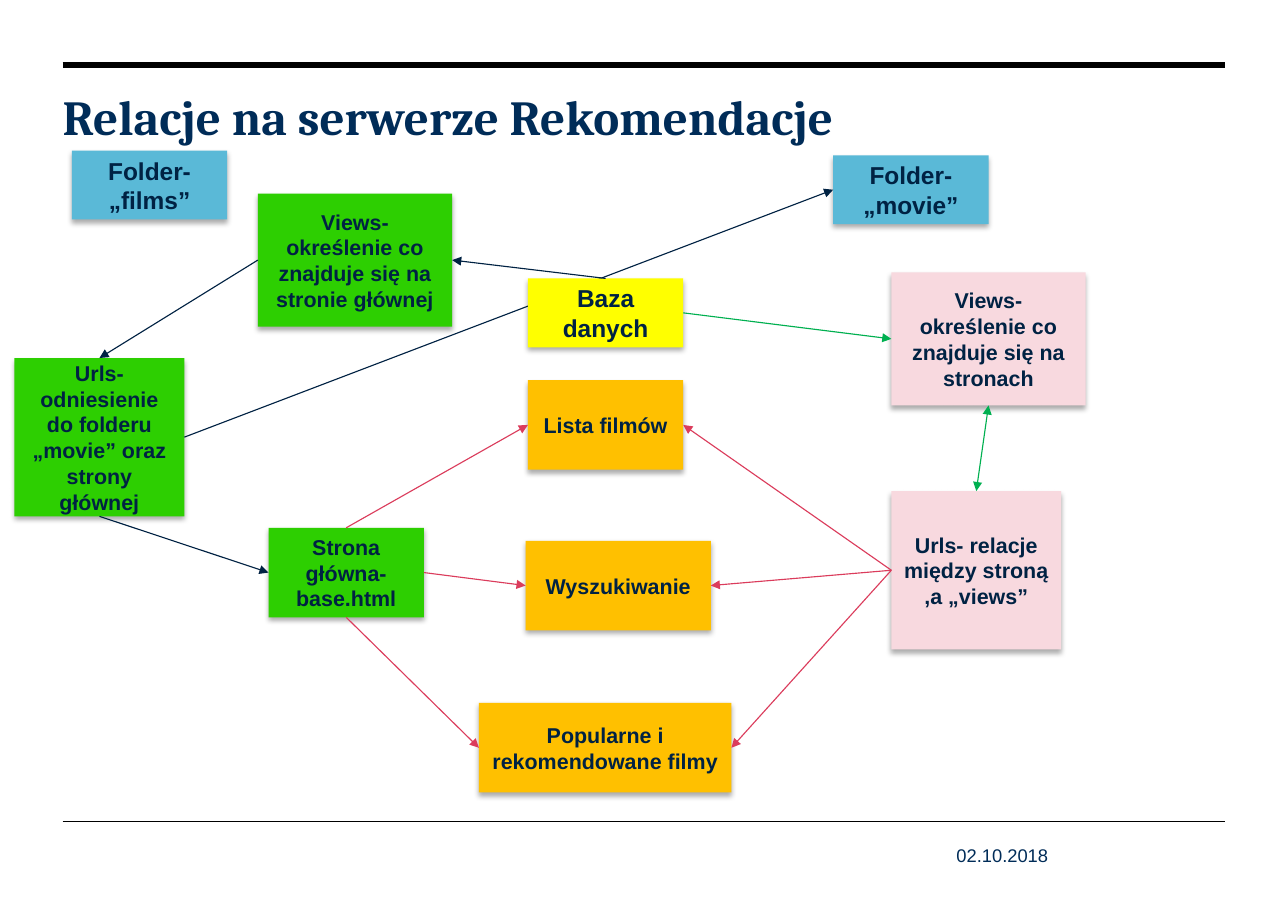
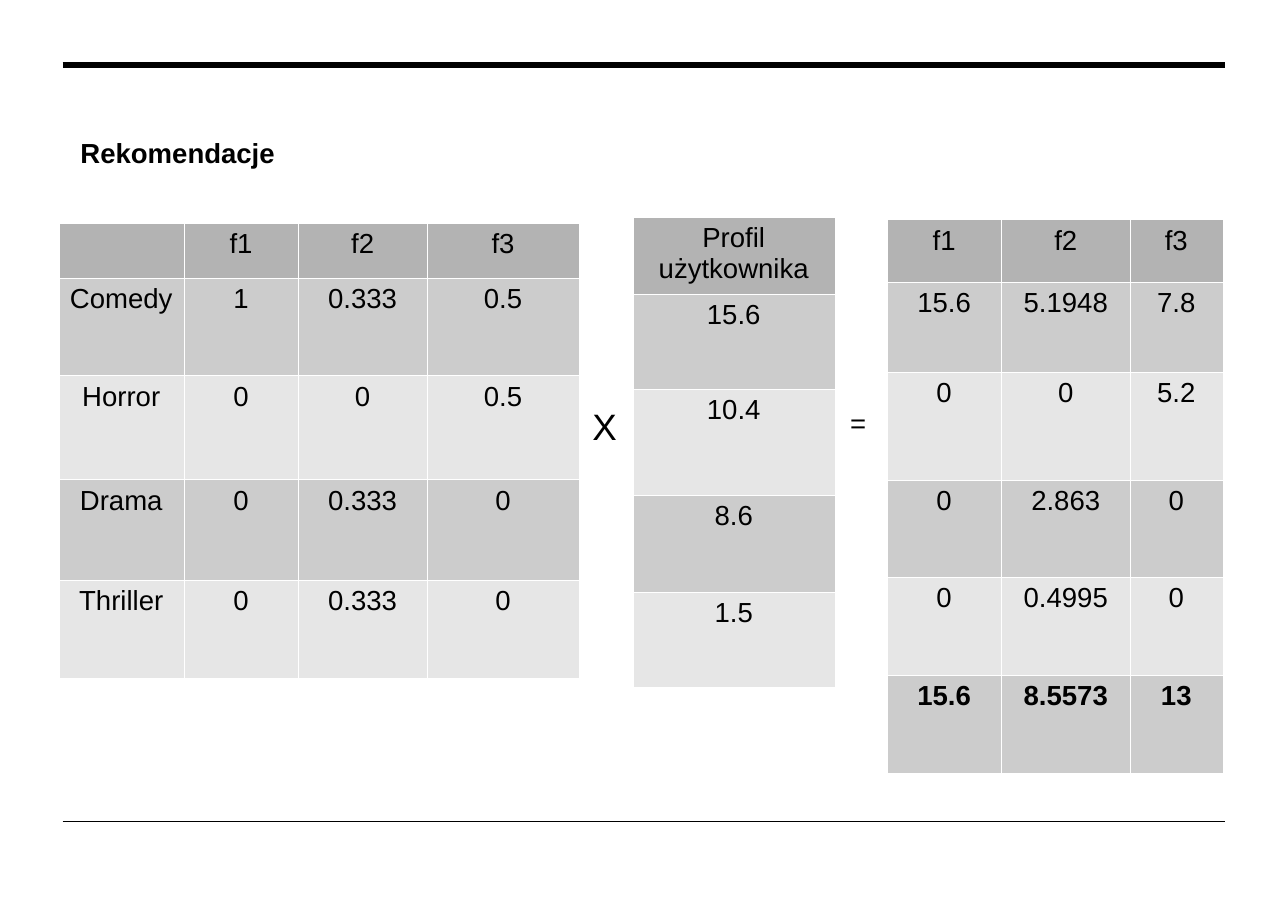
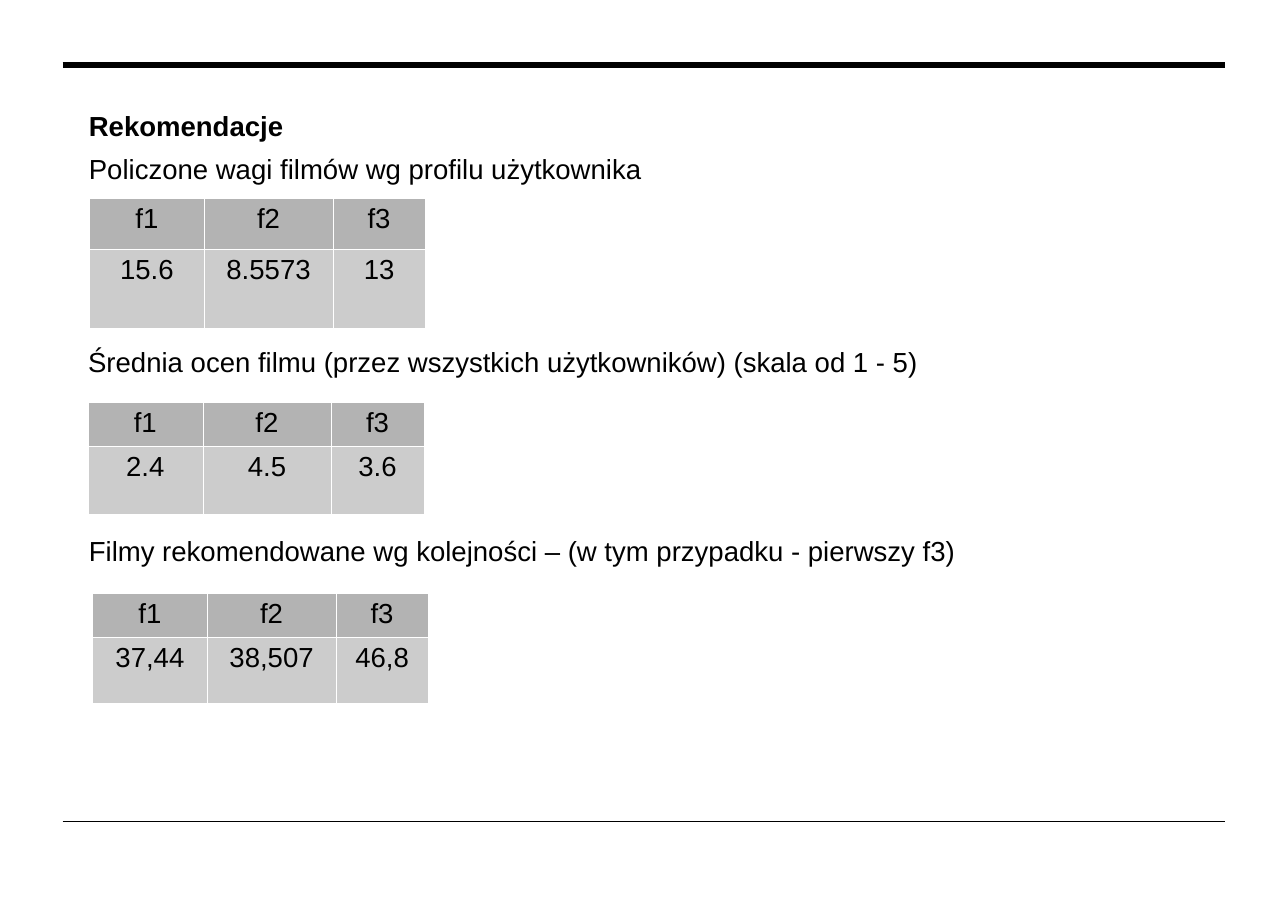
"""Builds three slides on the relations and the weights of a film recommendation server."""
from lxml.etree import SubElement
from pptx import Presentation
from pptx.dml.color import RGBColor
from pptx.enum.shapes import MSO_CONNECTOR, MSO_SHAPE
from pptx.enum.text import MSO_ANCHOR, PP_ALIGN
from pptx.oxml.ns import qn
from pptx.util import Pt

COLORS = {
    "black": "000000", "white": "FFFFFF", "title": "002C58", "navy": "002243",
    "blue": "5AB9D7", "green": "2DCF01", "yellow": "FFFF00", "orange": "FFC000",
    "pink": "F8D9DF", "red": "DB3C5C", "line green": "00B050",
    "header": "B3B3B3", "odd row": "CCCCCC", "even row": "E6E6E6",
}
RULE_LEFT, RULE_RIGHT = 41, 800.5
RULES = [(42.5, 4), (537, 0.75)]

BOX_KINDS = {
    "folder": (101.5, 45, 16), "views": (127, 87, 14), "urls": (111, 103.5, 14),
    "page": (101.5, 58.5, 14), "search": (121, 58.5, 14), "popular": (165, 58.5, 14),
}
BOXES = {
    "films": ("folder", 47, 98.5, "blue", "Folder- „films”"),
    "movie": ("folder", 544.5, 101.5, "blue", "Folder- „movie”"),
    "main urls": ("urls", 9.5, 234, "green",
                  "Urls- odniesienie do folderu „movie” oraz strony głównej"),
    "main views": ("views", 168.5, 126.5, "green",
                   "Views- określenie co znajduje się na stronie głównej"),
    "main page": ("page", 175.5, 345, "green", "Strona główna- base.html"),
    "database": ("folder", 345, 182, "yellow", "Baza danych"),
    "film list": ("page", 345, 248.5, "orange", "Lista filmów"),
    "search": ("search", 343.5, 353.5, "orange", "Wyszukiwanie"),
    "popular": ("popular", 313, 459.5, "orange", "Popularne i rekomendowane filmy"),
    "page views": ("views", 582.5, 178, "pink",
                   "Views- określenie co znajduje się na stronach"),
    "page urls": ("urls", 582.5, 321, "pink", "Urls- relacje między stroną ,a „views”"),
}
TOP, LEFT, BOTTOM, RIGHT = range(4)
ONE_WAY, TWO_WAY = ("a:tailEnd",), ("a:headEnd", "a:tailEnd")
LINKS = [
    ("main views", LEFT, "main urls", TOP, "navy", ONE_WAY),
    ("main urls", BOTTOM, "main page", LEFT, "navy", ONE_WAY),
    ("main urls", RIGHT, "movie", LEFT, "navy", ONE_WAY),
    ("database", TOP, "main views", RIGHT, "navy", ONE_WAY),
    ("main page", TOP, "film list", LEFT, "red", ONE_WAY),
    ("main page", RIGHT, "search", LEFT, "red", ONE_WAY),
    ("main page", BOTTOM, "popular", LEFT, "red", ONE_WAY),
    ("page views", BOTTOM, "page urls", TOP, "line green", TWO_WAY),
    ("page urls", LEFT, "film list", RIGHT, "red", ONE_WAY),
    ("page urls", LEFT, "search", RIGHT, "red", ONE_WAY),
    ("page urls", LEFT, "popular", RIGHT, "red", ONE_WAY),
    ("database", RIGHT, "page views", LEFT, "line green", ONE_WAY),
]

FILMS = ["f1", "f2", "f3"]
FILM_COLUMNS = [75, 84, 60.5]
GENRES = [
    ["", *FILMS],
    ["Comedy", "1", "0.333", "0.5"],
    ["Horror", "0", "0", "0.5"],
    ["Drama", "0", "0.333", "0"],
    ["Thriller", "0", "0.333", "0"],
]
PROFILE = [["Profil użytkownika"], ["15.6"], ["10.4"], ["8.6"], ["1.5"]]
PRODUCT = [
    FILMS,
    ["15.6", "5.1948", "7.8"],
    ["0", "0", "5.2"],
    ["0", "2.863", "0"],
    ["0", "0.4995", "0"],
    ["15.6", "8.5573", "13"],
]
MATRICES = [
    (38.5, 145.5, [81.5, 75, 84, 99.5], [36, 64, 68, 65.5, 64], GENRES, False),
    (413.5, 142, [132], [50, 62, 69, 63.5, 62], PROFILE, False),
    (579.5, 143.5, FILM_COLUMNS, [41, 58.5, 71, 63.5, 64, 64], PRODUCT, True),
]
RANKING_STEPS = [
    (51, 96, "Policzone wagi filmów wg profilu użytkownika",
     58.5, 129.5, [33, 52], ["15.6", "8.5573", "13"]),
    (50.5, 222, "Średnia ocen filmu (przez wszystkich użytkowników) (skala od 1 - 5)",
     57.5, 263, [28, 44], ["2.4", "4.5", "3.6"]),
    (51, 345.5, "Filmy rekomendowane wg kolejności – (w tym przypadku - pierwszy f3)",
     60.5, 387.5, [28.5, 43.5], ["37,44", "38,507", "46,8"]),
]


def rgb(name):
    return RGBColor.from_string(COLORS[name])


def format_text(text_frame, size, color, bold=False, font="Arial", align=PP_ALIGN.LEFT):
    for paragraph in text_frame.paragraphs:
        paragraph.alignment = align
        for run in paragraph.runs:
            run.font.name = font
            run.font.size = Pt(size)
            run.font.bold = bold
            run.font.color.rgb = rgb(color)


def add_text(slide, left, top, width, height, text, size=18, color="black",
             bold=False, font="Arial", inset=True):
    text_frame = slide.shapes.add_textbox(Pt(left), Pt(top), Pt(width), Pt(height)).text_frame
    text_frame.word_wrap = True
    if not inset:
        text_frame.margin_left = text_frame.margin_right = 0
        text_frame.margin_top = text_frame.margin_bottom = 0
    text_frame.text = text
    format_text(text_frame, size, color, bold, font)
    return text_frame


def add_line(slide, start, end, color, width, arrowheads=()):
    line = slide.shapes.add_connector(MSO_CONNECTOR.STRAIGHT, *map(Pt, start + end))
    line.line.color.rgb = rgb(color)
    line.line.width = Pt(width)
    properties = line.element.spPr
    for arrowhead in arrowheads:
        SubElement(properties.find(qn("a:ln")), qn(arrowhead), type="triangle")
    SubElement(properties, qn("a:effectLst"))
    return line


def add_box(slide, kind, left, top, fill, text):
    width, height, size = BOX_KINDS[kind]
    box = slide.shapes.add_shape(MSO_SHAPE.RECTANGLE, Pt(left), Pt(top), Pt(width), Pt(height))
    box.fill.solid()
    box.fill.fore_color.rgb = rgb(fill)
    box.line.fill.background()
    box.shadow.inherit = False
    shadow = SubElement(box.element.spPr.find(qn("a:effectLst")), qn("a:outerShdw"),
                        blurRad=str(Pt(3.5)), dist=str(Pt(2.2)), dir="5400000", rotWithShape="0")
    shadow_color = SubElement(shadow, qn("a:srgbClr"), val=COLORS["black"])
    SubElement(shadow_color, qn("a:alpha"), val="32000")
    box.text_frame.word_wrap = True
    box.text_frame.vertical_anchor = MSO_ANCHOR.MIDDLE
    box.text_frame.text = text
    format_text(box.text_frame, size, "navy", True, align=PP_ALIGN.CENTER)
    return box


def add_link(slide, boxes, source, source_site, target, target_site, color, arrowheads):
    link = add_line(slide, (0, 0), (0, 0), color, 0.75, arrowheads)
    link.begin_connect(boxes[source], source_site)
    link.end_connect(boxes[target], target_site)
    return link


def style_cell(cell, fill):
    properties = cell._tc.get_or_add_tcPr()
    for side in ("a:lnL", "a:lnR", "a:lnT", "a:lnB"):
        border = SubElement(properties, qn(side), w=str(Pt(0.06)))
        SubElement(SubElement(border, qn("a:solidFill")), qn("a:srgbClr"), val=COLORS["white"])
    cell.fill.solid()
    cell.fill.fore_color.rgb = rgb(fill)


def add_matrix(slide, left, top, widths, heights, rows, bold_last=False):
    table = slide.shapes.add_table(len(rows), len(widths), Pt(left), Pt(top),
                                   Pt(sum(widths)), Pt(sum(heights))).table
    table.first_row = table.horz_banding = False
    for column, width in zip(table.columns, widths):
        column.width = Pt(width)
    for index, (row, height, values) in enumerate(zip(table.rows, heights, rows)):
        row.height = Pt(height)
        fill = "header" if index == 0 else "odd row" if index % 2 else "even row"
        bold = bold_last and index == len(rows) - 1
        for cell, value in zip(row.cells, values):
            cell.text_frame.text = value
            format_text(cell.text_frame, 18, "black", bold, align=PP_ALIGN.CENTER)
            style_cell(cell, fill)


def new_slide(presentation):
    slide = presentation.slides.add_slide(presentation.slide_layouts[6])
    for top, width in RULES:
        add_line(slide, (RULE_LEFT, top), (RULE_RIGHT, top), "black", width)
    return slide


def build_relations(slide):
    title = add_text(slide, RULE_LEFT, 61, RULE_RIGHT - RULE_LEFT, 34.5,
                     "Relacje na serwerze Rekomendacje", 32, "title", True, "Cambria", False)
    title.paragraphs[0].line_spacing = 0.9
    add_text(slide, 625, 551.5, 89.5, 14.5, "02.10.2018", 12, "title", inset=False)
    boxes = {name: add_box(slide, *box) for name, box in BOXES.items()}
    links = {(link[0], link[2]): add_link(slide, boxes, *link) for link in LINKS}
    boxes["database"].element.addprevious(links["main urls", "movie"].element)


def build_product(slide):
    add_text(slide, 45.5, 85, 584, 29, "Rekomendacje", bold=True)
    for matrix in MATRICES:
        add_matrix(slide, *matrix)
    add_text(slide, 380, 260.5, 33, 36, "X", 24)
    add_text(slide, 548.5, 262, 28, 29, "=")


def build_ranking(slide):
    add_text(slide, 51, 67.5, 335, 29, "Rekomendacje", bold=True)
    for text_left, text_top, text, left, top, heights, values in RANKING_STEPS:
        add_text(slide, text_left, text_top, 732, 29, text)
        add_matrix(slide, left, top, FILM_COLUMNS, heights, [FILMS, values])


def main():
    presentation = Presentation()
    presentation.slide_width, presentation.slide_height = Pt(841.68), Pt(595.44)
    for build in (build_relations, build_product, build_ranking):
        build(new_slide(presentation))
    presentation.save("out.pptx")


if __name__ == "__main__":
    main()
